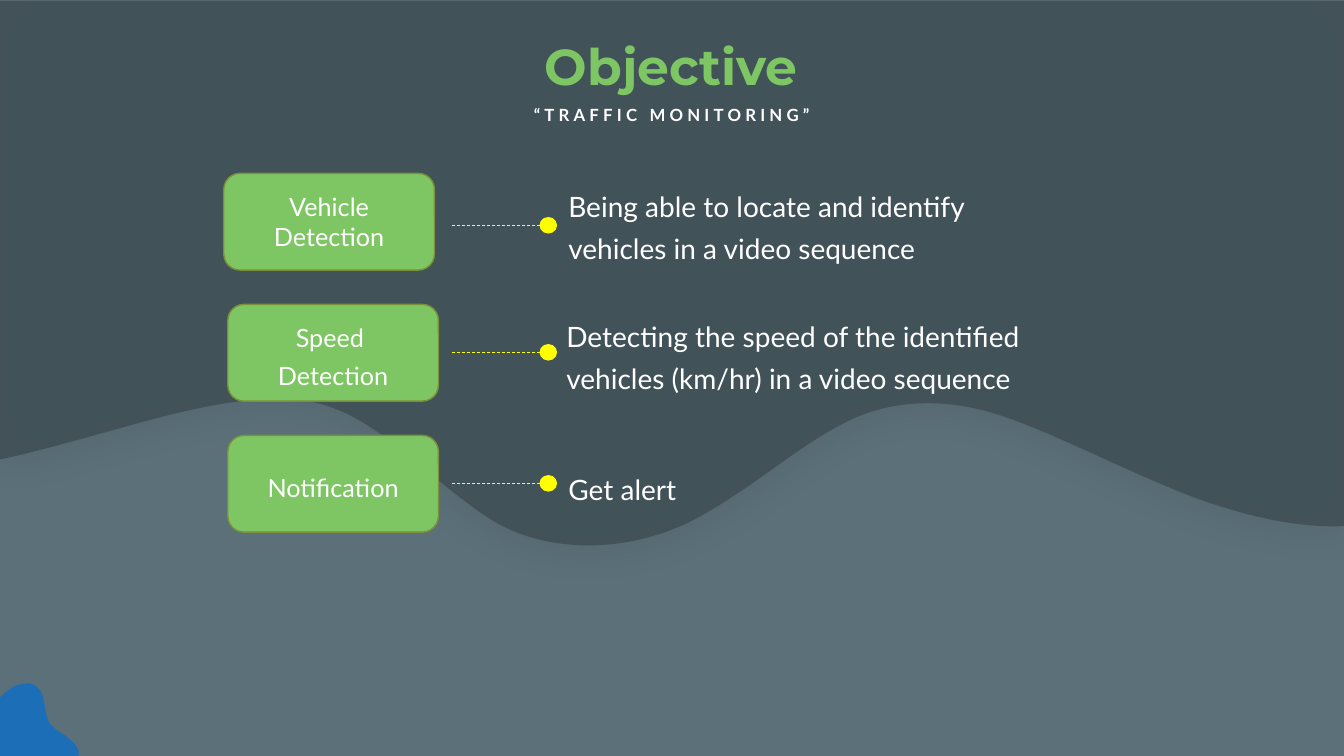
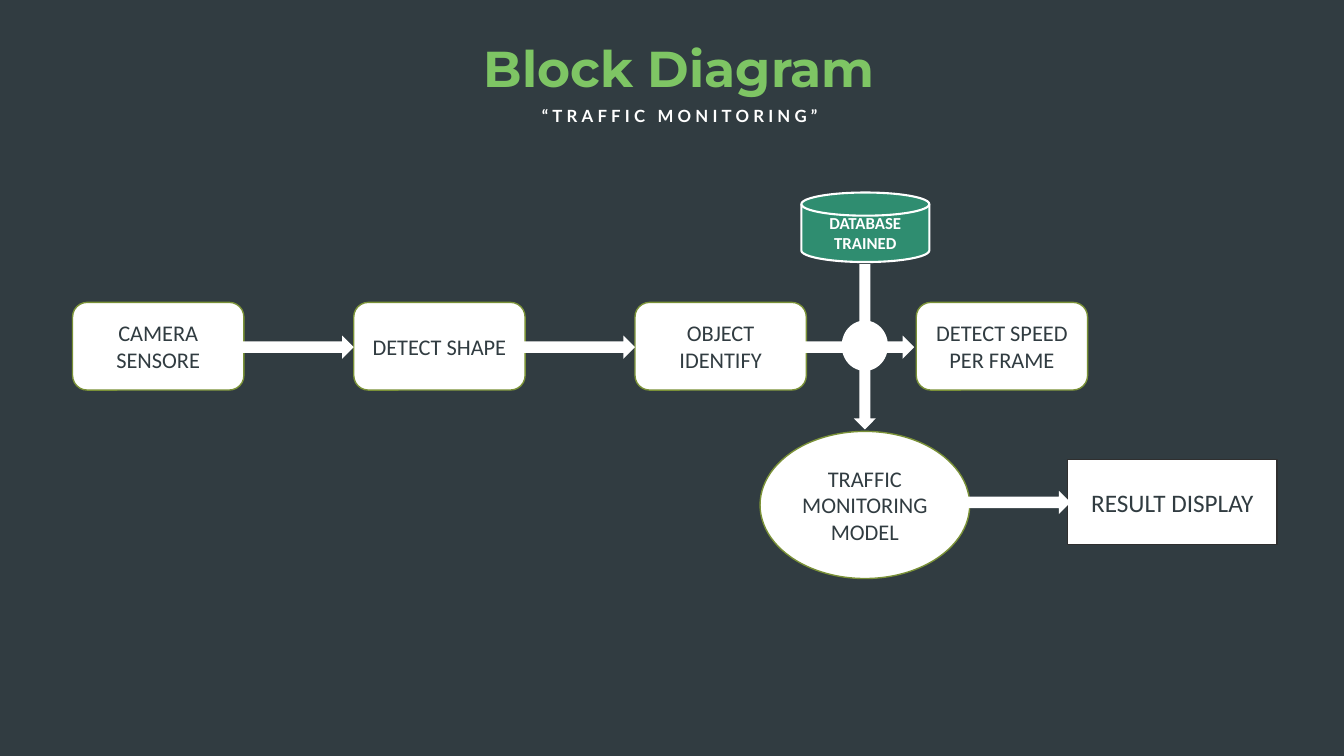
from dataclasses import dataclass

from lxml.etree import SubElement
from pptx import Presentation
from pptx.dml.color import RGBColor
from pptx.enum.dml import MSO_LINE
from pptx.enum.shapes import MSO_CONNECTOR, MSO_SHAPE
from pptx.enum.text import MSO_ANCHOR, MSO_AUTO_SIZE, PP_ALIGN
from pptx.oxml.ns import qn
from pptx.shapes.autoshape import Shape
from pptx.slide import Slide
from pptx.text.text import TextFrame
from pptx.util import Inches, Pt

COLORS = {
    "slate": "5C7079",
    "wave": "425158",
    "dark": "313C41",
    "green": "7EC564",
    "olive": "7A9137",
    "blue": "1C6EB6",
    "yellow": "FFFF00",
    "teal": "2F8D70",
    "charcoal": "2F2F2F",
    "black": "000000",
    "white": "FFFFFF",
}

FORMATS = {
    "title": {"name": "Montserrat", "size": Pt(36), "bold": True},
    "subtitle": {"name": "Lato", "size": Pt(12), "bold": True},
    "goal": {"name": "Lato", "size": Pt(18), "bold": False},
    "description": {"name": "Lato", "size": Pt(20), "bold": False},
    "block": {"name": "Calibri", "size": Pt(16), "bold": False},
    "database": {"name": "Calibri", "size": Pt(12), "bold": True},
    "result": {"name": "Calibri", "size": Pt(18), "bold": False},
}

SLIDE_HEIGHT = 7.5
SLIDE_WIDTH = SLIDE_HEIGHT * 16 / 9

Box = tuple[float, float, float, float]
Point = tuple[float, float]


@dataclass(frozen=True)
class Goal:
    label: list[str]
    left: float
    label_spacing: float
    marker_y: float
    description: list[str]
    description_box: Box


@dataclass(frozen=True)
class Block:
    text: str
    box: Box
    kind: MSO_SHAPE = MSO_SHAPE.ROUNDED_RECTANGLE
    style: str = "block"
    fill: str = "white"
    line: str = "olive"
    line_width: float = 1
    text_color: str = "dark"


@dataclass(frozen=True)
class Arrow:
    box: Box
    rotation: float = 0


@dataclass(frozen=True)
class Outline:
    start: Point
    curves: list[tuple[Point, Point, Point]]
    corners: list[Point]


GOALS = [
    Goal(["Vehicle Detection"], 2.22, 1, 2.24,
         ["Being able to locate and identify", "vehicles in a video sequence"],
         (5.54, 1.75, 4.26, 0.9)),
    Goal(["Speed ", "Detection"], 2.26, 1.25, 3.5,
         ["Detecting the speed of the identified", "vehicles (km/hr) in a video sequence"],
         (5.52, 3.04, 4.8, 0.9)),
    Goal(["Notification"], 2.26, 1.25, 4.8, ["Get alert"], (5.54, 4.56, 4.67, 0.48)),
]
GOAL_TOP, GOAL_PITCH = 1.72, 1.3

STEPS = ["CAMERA SENSORE", "DETECT SHAPE", "OBJECT IDENTIFY", "DETECT SPEED PER FRAME"]
STEP_LEFT, STEP_PITCH = 0.72, 2.79

BLOCKS = [
    Block(text, (STEP_LEFT + index * STEP_PITCH, 3, 1.7, 0.87))
    for index, text in enumerate(STEPS)
] + [
    Block("DATABASE TRAINED", (7.95, 1.91, 1.27, 0.69), MSO_SHAPE.FLOWCHART_MAGNETIC_DISK,
          "database", "teal", "white", 1.5, "white"),
    Block("TRAFFIC MONITORING MODEL", (7.54, 4.28, 2.08, 1.46), MSO_SHAPE.OVAL),
    Block("RESULT DISPLAY", (10.59, 4.56, 2.08, 0.84), MSO_SHAPE.RECTANGLE,
          "result", line="charcoal"),
]

ARROWS = [
    Arrow((2.38, 3.33, 1.13, 0.23)),
    Arrow((5.17, 3.33, 1.13, 0.23)),
    Arrow((7.94, 3.33, 1.13, 0.23)),
    Arrow((9.49, 4.87, 1.13, 0.23)),
    Arrow((7.76, 3.33, 1.64, 0.22), 90),
]

WAVE = Outline(
    (SLIDE_WIDTH, 5.22),
    [
        ((12.87, 5.24), (12.36, 5.12), (11.86, 4.94)),
        ((11.15, 4.67), (10.52, 4.32), (9.92, 4.12)),
        ((9.41, 3.95), (8.88, 3.96), (8.45, 4.16)),
        ((7.96, 4.39), (7.52, 4.8), (6.97, 5.11)),
        ((6.64, 5.3), (6.26, 5.4), (5.9, 5.41)),
        ((5.53, 5.42), (5.17, 5.34), (4.88, 5.16)),
        ((4.25, 4.76), (3.8, 4.18), (3.19, 4.01)),
        ((2.66, 3.87), (1.97, 4.03), (1.22, 4.24)),
        ((0.82, 4.35), (0.41, 4.47), (0, 4.56)),
    ],
    [(0, 0.01), (SLIDE_WIDTH, 0.01)],
)

BLOB = Outline(
    (0.78, 7.48),
    [
        ((0.78, 7.47), (0.78, 7.46), (0.78, 7.45)),
        ((0.76, 7.39), (0.7, 7.34), (0.65, 7.3)),
        ((0.59, 7.26), (0.53, 7.23), (0.49, 7.17)),
        ((0.46, 7.11), (0.45, 7.05), (0.44, 6.98)),
        ((0.43, 6.92), (0.42, 6.85), (0.36, 6.81)),
        ((0.34, 6.79), (0.31, 6.78), (0.28, 6.78)),
        ((0.23, 6.78), (0.17, 6.79), (0.12, 6.82)),
        ((0.09, 6.84), (0.05, 6.87), (0.02, 6.9)),
    ],
    [(0, 6.92), (0, SLIDE_HEIGHT), (0.78, SLIDE_HEIGHT)],
)


def color(name: str) -> RGBColor:
    return RGBColor.from_string(COLORS[name])


def lengths(values: tuple[float, ...]) -> list[Inches]:
    return [Inches(value) for value in values]


def paint(shape: Shape, fill: str, line: str | None = None, line_width: float = 1) -> None:
    shape.shadow.inherit = False
    shape.fill.solid()
    shape.fill.fore_color.rgb = color(fill)
    if line is None:
        shape.line.fill.background()
    else:
        shape.line.color.rgb = color(line)
        shape.line.width = Pt(line_width)


def write(frame: TextFrame, lines: list[str], style: str, text_color: str,
          alignment: PP_ALIGN = PP_ALIGN.CENTER, spacing: float = 1,
          tracking: float = 0) -> None:
    for index, line in enumerate(lines):
        paragraph = frame.paragraphs[0] if index == 0 else frame.add_paragraph()
        paragraph.alignment = alignment
        paragraph.line_spacing = spacing
        run = paragraph.add_run()
        run.text = line
        for attribute, value in FORMATS[style].items():
            setattr(run.font, attribute, value)
        run.font.color.rgb = color(text_color)
        if tracking:
            run._r.get_or_add_rPr().set("spc", str(int(tracking * 100)))


def add_text(slide: Slide, box: Box, lines: list[str], style: str,
             alignment: PP_ALIGN, spacing: float, tracking: float = 0) -> None:
    frame = slide.shapes.add_textbox(*lengths(box)).text_frame
    frame.word_wrap = True
    write(frame, lines, style, "white", alignment, spacing, tracking)


def add_preset(slide: Slide, kind: MSO_SHAPE, box: Box, fill: str,
               line: str | None = None, line_width: float = 1) -> Shape:
    shape = slide.shapes.add_shape(kind, *lengths(box))
    paint(shape, fill, line, line_width)
    return shape


def add_outline(slide: Slide, outline: Outline, fill: str) -> Shape:
    anchors = [curve[-1] for curve in outline.curves] + outline.corners
    builder = slide.shapes.build_freeform(*lengths(outline.start))
    builder.add_line_segments([lengths(point) for point in anchors], close=True)
    shape = builder.convert_to_shape()
    segments = list(shape.element.iter(qn("a:lnTo")))
    for segment, curve in zip(segments, outline.curves):
        bezier = segment.getparent().makeelement(qn("a:cubicBezTo"))
        for x, y in curve:
            SubElement(bezier, qn("a:pt"), x=str(Inches(x) - shape.left),
                       y=str(Inches(y) - shape.top))
        segment.getparent().replace(segment, bezier)
    paint(shape, fill)
    return shape


def soften_wave(wave: Shape) -> None:
    properties = wave.element.spPr
    fill = properties.find(qn("a:solidFill")).find(qn("a:srgbClr"))
    SubElement(fill, qn("a:alpha"), val="95000")
    shadow = SubElement(properties.find(qn("a:effectLst")), qn("a:outerShdw"),
                        blurRad=str(Pt(32)), dist="0", dir="0", algn="ctr", rotWithShape="0")
    shade = SubElement(shadow, qn("a:srgbClr"), val=COLORS["black"])
    SubElement(shade, qn("a:alpha"), val="10000")


def set_background(slide: Slide, name: str) -> None:
    slide.background.fill.solid()
    slide.background.fill.fore_color.rgb = color(name)


def add_heading(slide: Slide, text: str, title_box: Box, subtitle_box: Box) -> None:
    title = slide.shapes.title
    for attribute, value in zip(("left", "top", "width", "height"), lengths(title_box)):
        setattr(title, attribute, value)
    frame = title.text_frame
    layout = {
        "word_wrap": False,
        "auto_size": MSO_AUTO_SIZE.SHAPE_TO_FIT_TEXT,
        "vertical_anchor": MSO_ANCHOR.TOP,
    }
    for attribute, value in layout.items():
        setattr(frame, attribute, value)
    write(frame, [text], "title", "green")
    title.element.getparent().append(title.element)
    add_text(slide, subtitle_box, ["“TRAFFIC MONITORING”"], "subtitle", PP_ALIGN.CENTER, 1.1, 3)


def add_goal(slide: Slide, goal: Goal, top: float) -> None:
    shape = add_preset(slide, MSO_SHAPE.ROUNDED_RECTANGLE, (goal.left, top, 2.09, 0.96),
                       "green", "olive")
    write(shape.text_frame, goal.label, "goal", "white", spacing=goal.label_spacing)
    connector = slide.shapes.add_connector(
        MSO_CONNECTOR.STRAIGHT, *lengths((5.36, goal.marker_y, 4.47, goal.marker_y)))
    connector.line.color.rgb = color("yellow")
    connector.line.width = Pt(0.5)
    connector.line.dash_style = MSO_LINE.DASH
    SubElement(connector.element.spPr, qn("a:effectLst"))
    add_preset(slide, MSO_SHAPE.OVAL, (5.36, goal.marker_y - 0.08, 0.16, 0.15),
               "yellow", "yellow")
    add_text(slide, goal.description_box, goal.description, "description", PP_ALIGN.LEFT, 1.25)


def build_objective(slide: Slide) -> None:
    set_background(slide, "slate")
    soften_wave(add_outline(slide, WAVE, "wave"))
    add_outline(slide, BLOB, "blue")
    add_heading(slide, "Objective", (5.29, 0.3, 2.74, 0.71), (4.92, 0.97, 3.49, 0.32))
    for index, goal in enumerate(GOALS):
        add_goal(slide, goal, GOAL_TOP + index * GOAL_PITCH)


def build_block_diagram(slide: Slide) -> None:
    set_background(slide, "dark")
    for block in BLOCKS:
        shape = add_preset(slide, block.kind, block.box, block.fill, block.line, block.line_width)
        write(shape.text_frame, [block.text], block.style, block.text_color)
    for arrow in ARROWS:
        shape = add_preset(slide, MSO_SHAPE.RIGHT_ARROW, arrow.box, "white")
        shape.rotation = arrow.rotation
    add_preset(slide, MSO_SHAPE.OVAL, (8.35, 3.18, 0.46, 0.5), "white")
    add_heading(slide, "Block Diagram", (4.67, 0.32, 4.14, 0.71), (5, 0.98, 3.49, 0.32))


def main() -> None:
    presentation = Presentation()
    presentation.slide_width, presentation.slide_height = lengths((SLIDE_WIDTH, SLIDE_HEIGHT))
    for build in (build_objective, build_block_diagram):
        build(presentation.slides.add_slide(presentation.slide_layouts[5]))
    presentation.save("out.pptx")


if __name__ == "__main__":
    main()
